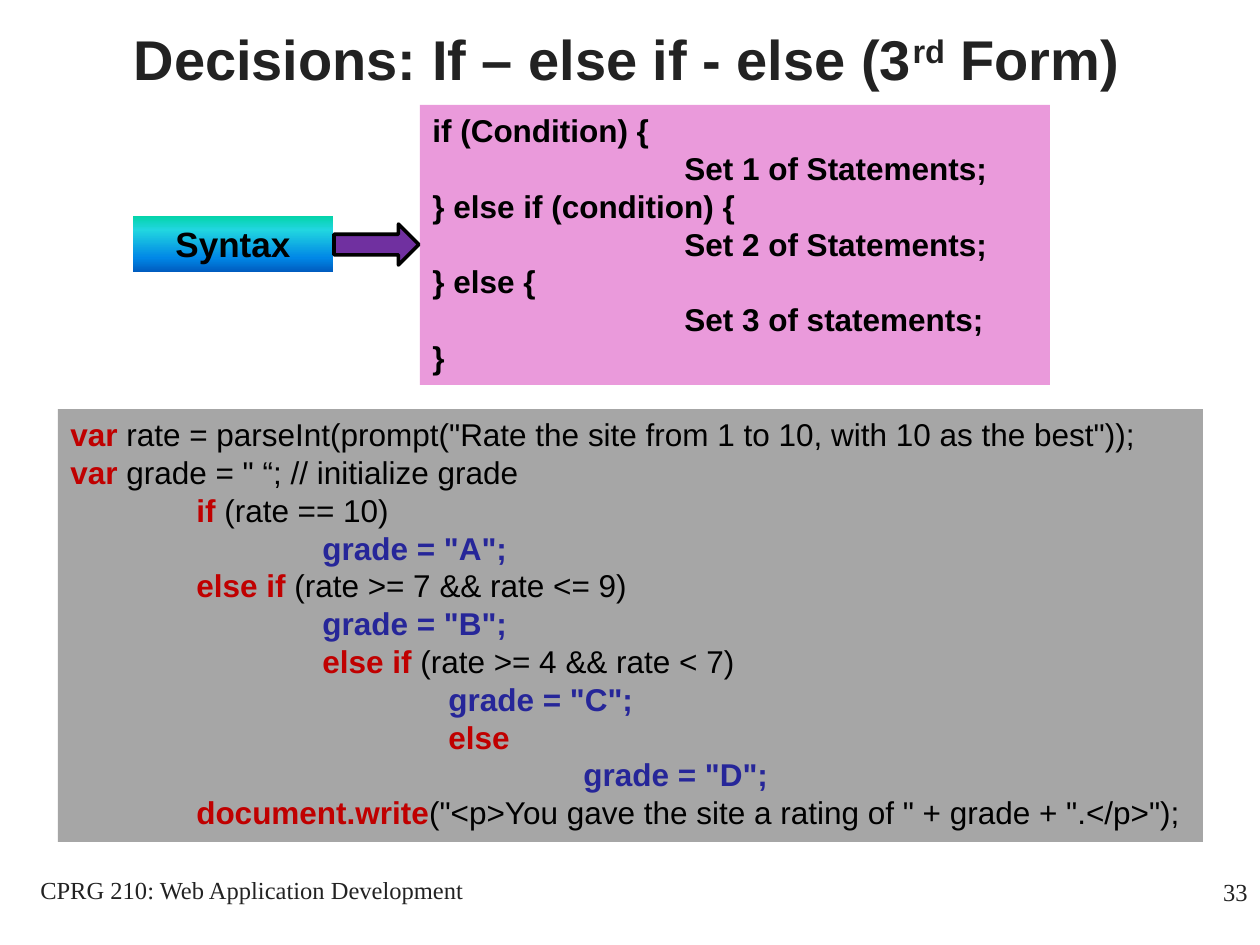
"""Build the slide on the third form of the if statement: syntax and example."""
import copy

import pptx
import pptx.dml.color
import pptx.enum.shapes
import pptx.enum.text
import pptx.oxml.ns
import pptx.util

RGBColor = pptx.dml.color.RGBColor
SHAPE = pptx.enum.shapes.MSO_SHAPE
ALIGN = pptx.enum.text.PP_ALIGN
ANCHOR = pptx.enum.text.MSO_ANCHOR

BLACK = RGBColor(0x00, 0x00, 0x00)
INK = RGBColor(0x22, 0x22, 0x22)
RED = RGBColor(0xC0, 0x00, 0x00)
BLUE = RGBColor(0x26, 0x26, 0x99)
GRAY = RGBColor(0xA6, 0xA6, 0xA6)
PINK = RGBColor(0xEA, 0x9A, 0xDB)
PURPLE = RGBColor(0x70, 0x30, 0xA0)
GRADIENT = [
    (0, RGBColor(0x03, 0xD4, 0xA8)),
    (0.25, RGBColor(0x21, 0xD6, 0xE0)),
    (0.75, RGBColor(0x00, 0x87, 0xE6)),
    (1, RGBColor(0x00, 0x5C, 0xBF)),
]
TAB = 126


def px(n):
    """Turn pixels into EMU."""
    return pptx.util.Emu(round(n * 914400 / 126))


def write(sp, lines, size=18, font="Arial", color=BLACK, bold=False,
          align=ALIGN.LEFT, anchor=ANCHOR.TOP):
    """Fill a shape with (indent, runs) lines; a run is (text, overrides)."""
    tf = sp.text_frame
    tf.word_wrap = True
    tf.vertical_anchor = anchor
    for i, (indent, runs) in enumerate(lines):
        p = tf.paragraphs[0] if i == 0 else tf.add_paragraph()
        p.alignment = align
        if indent:
            p._p.get_or_add_pPr().set("marL", str(px(indent)))
        for text, style in runs:
            r = p.add_run()
            r.text = text
            r.font.size = pptx.util.Pt(size)
            r.font.name = font
            r.font.bold = style.get("bold", bold)
            r.font.color.rgb = style.get("color", color)
            if "baseline" in style:
                r._r.get_or_add_rPr().set("baseline", str(style["baseline"]))


prs = pptx.Presentation()
prs.slide_width = px(1260)
prs.slide_height = px(945)
s = prs.slides.add_slide(prs.slide_layouts[6])

title = s.shapes.add_textbox(px(70), px(-21), px(1113), px(158))
write(title, [(0, [("Decisions: If – else if - else (3", {}),
                   ("rd", {"baseline": 30000}), (" Form)", {})])],
      size=32, color=INK, bold=True, align=ALIGN.CENTER, anchor=ANCHOR.MIDDLE)

shapes = []
for kind, x, y, w, h, color in [
    (SHAPE.RECTANGLE, 58, 409, 1145, 433, GRAY),
    (SHAPE.RECTANGLE, 420, 105, 630, 280, PINK),
    (SHAPE.RECTANGLE, 133, 216, 200, 56, None),
    (SHAPE.RIGHT_ARROW, 334, 224, 85, 41, PURPLE),
]:
    sp = s.shapes.add_shape(kind, px(x), px(y), px(w), px(h))
    sp.shadow.inherit = False
    sp.line.fill.background()
    if color is not None:
        sp.fill.solid()
        sp.fill.fore_color.rgb = color
    shapes.append(sp)
example, syntax, label, arrow = shapes

arrow.line.color.rgb = BLACK
arrow.line.width = pptx.util.Pt(2)

label.fill.gradient()
label.fill.gradient_angle = 270
stops = label._element.spPr.find(".//" + pptx.oxml.ns.qn("a:gsLst"))
for _ in range(len(GRADIENT) - len(stops)):
    stops.append(copy.deepcopy(stops[0]))
for stop, (position, color) in zip(label.fill.gradient_stops, GRADIENT):
    stop.position = position
    stop.color.rgb = color
write(label, [(0, [("Syntax", {})])], size=20, bold=True, align=ALIGN.CENTER)

syntax_lines = [
    (0, "if (Condition) {"),
    (2, "Set 1 of Statements;"),
    (0, "} else if (condition) {"),
    (2, "Set 2 of Statements;"),
    (0, "} else {"),
    (2, "Set 3 of statements;"),
    (0, "}"),
]
write(syntax, [(tabs * TAB, [(text, {})]) for tabs, text in syntax_lines], bold=True)

KEYWORD = {"color": RED, "bold": True}
ASSIGN = {"color": BLUE, "bold": True}
code_lines = [
    (0, "var", " rate = parseInt(prompt(\"Rate the site from 1 to 10, with 10 as the best\"));"),
    (0, "var", " grade = \" “; // initialize grade"),
    (TAB, "if", " (rate == 10)"),
    (2 * TAB, "", "grade = \"A\";"),
    (TAB, "else if", " (rate >= 7 && rate <= 9)"),
    (2 * TAB, "", "grade = \"B\";"),
    (2 * TAB, "else if", " (rate >= 4 && rate < 7)"),
    (3 * TAB, "", "grade = \"C\";"),
    (3 * TAB, "else", ""),
    (4 * TAB + 9, "", "grade = \"D\";"),
    (TAB, "document.write", "(\"<p>You gave the site a rating of \" + grade + \".</p>\");"),
]
lines = []
for indent, keyword, rest in code_lines:
    runs = [(keyword, KEYWORD), (rest, {} if keyword else ASSIGN)]
    lines.append((indent, [run for run in runs if run[0]]))
write(example, lines)

for x, y, w, text, align in [
    (998, 871, 262, "33", ALIGN.RIGHT),
    (0, 869, 504, "CPRG 210: Web Application Development", ALIGN.CENTER),
]:
    sp = s.shapes.add_textbox(px(x), px(y), px(w), px(63))
    write(sp, [(0, [(text, {})])], size=14, font="Times New Roman",
          color=INK, align=align)

prs.save("out.pptx")
